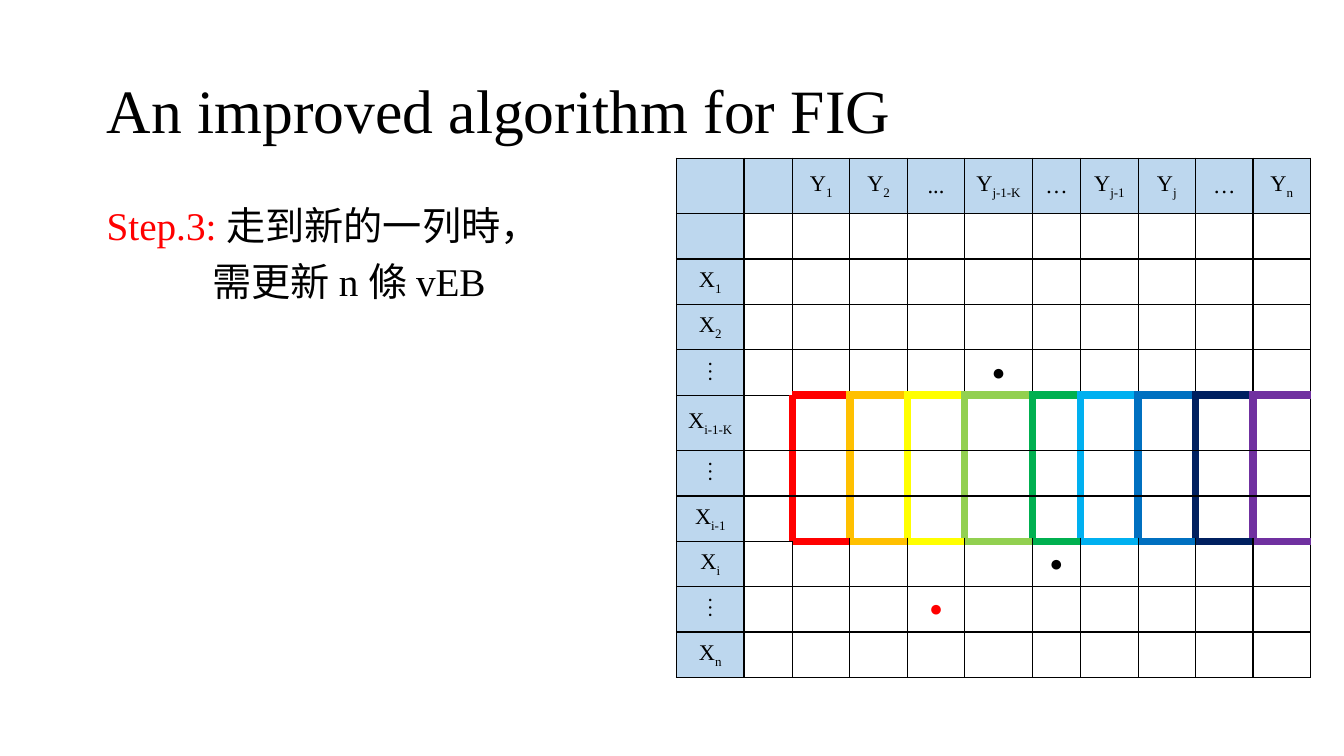
from lxml import etree
from pptx import Presentation
from pptx.dml.color import RGBColor
from pptx.enum import text
from pptx.oxml import ns
from pptx.util import Inches, Pt

TITLE = "An improved algorithm for FIG"
STEP = [
    [("Step.3: ", "red"), ("走到新的一列時，", "black")],
    [("需更新 n 條 vEB", "black")],
]
# Each label is a base and its subscript
COLUMN_LABELS = [("", ""), ("", ""), ("Y", "1"), ("Y", "2"), ("...", ""), ("Y", "j-1-K"),
                 ("…", ""), ("Y", "j-1"), ("Y", "j"), ("…", ""), ("Y", "n")]
ROW_LABELS = [("", ""), ("", ""), ("X", "1"), ("X", "2"), ("⋮", ""), ("X", "i-1-K"),
              ("⋮", ""), ("X", "i-1"), ("X", "i"), ("⋮", ""), ("X", "n")]
POINTS = {(4, 5): "black", (8, 6): "black", (9, 4): "red"}  # (row, column)
BANDS = ["FF0000", "FFC000", "FFFF00", "92D050", "00B050",
         "00B0F0", "0070C0", "002060", "7030A0"]
FIRST_BAND_COLUMN = 2
BAND_TOP, BAND_BOTTOM = 5, 8

COLORS = {"black": "000000", "red": "FF0000", "white": "FFFFFF", "header": "BDD7EE"}
FONT = "Times New Roman"
COLUMN_WIDTHS = [0.67, 0.48, 0.57, 0.57, 0.57, 0.67, 0.48, 0.57, 0.57, 0.57, 0.57]
ROW_HEIGHTS = [0.55 if row in (0, BAND_TOP) else 0.45 for row in range(len(ROW_LABELS))]


def rgb(name):
    return RGBColor.from_string(COLORS[name])


def style(paragraph, size, color="black"):
    paragraph.font.name = FONT
    paragraph.font.size = Pt(size)
    paragraph.font.color.rgb = rgb(color)


def add_box(slide, left, top, width, height):
    frame = slide.shapes.add_textbox(*map(Inches, (left, top, width, height))).text_frame
    frame.word_wrap = True
    return frame


def vertical_edge(row, edge):
    """Colour and width of the line left of column number edge."""
    band = edge - FIRST_BAND_COLUMN
    if BAND_TOP <= row < BAND_BOTTOM and 0 <= band < len(BANDS):
        return BANDS[band], 6
    return COLORS["black"], 1


def horizontal_edge(edge, column):
    """Colour and width of the line above row number edge."""
    if edge in (BAND_TOP, BAND_BOTTOM) and column >= FIRST_BAND_COLUMN:
        return BANDS[column - FIRST_BAND_COLUMN], 6
    return COLORS["black"], 1


def draw_borders(cell, row, column):
    sides = {
        "a:lnL": vertical_edge(row, column),
        "a:lnR": vertical_edge(row, column + 1),
        "a:lnT": horizontal_edge(row, column),
        "a:lnB": horizontal_edge(row + 1, column),
    }
    properties = cell._tc.get_or_add_tcPr()
    for side, (color, width) in sides.items():
        line = etree.SubElement(properties, ns.qn(side), w=str(Pt(width)))
        fill = etree.SubElement(line, ns.qn("a:solidFill"))
        etree.SubElement(fill, ns.qn("a:srgbClr"), val=color)


def write_cell(cell, base, subscript="", color="black"):
    cell.vertical_anchor = text.MSO_ANCHOR.MIDDLE
    paragraph = cell.text_frame.paragraphs[0]
    paragraph.alignment = text.PP_ALIGN.CENTER
    style(paragraph, 16, color)
    paragraph.add_run().text = base
    if subscript:
        lowered = paragraph.add_run()
        lowered.text = subscript
        lowered.font._element.set("baseline", "-25000")


def add_grid(slide):
    grid = slide.shapes.add_table(
        len(ROW_HEIGHTS), len(COLUMN_WIDTHS), Inches(6.71), Inches(1.57),
        Inches(sum(COLUMN_WIDTHS)), Inches(sum(ROW_HEIGHTS))).table
    for column, width in enumerate(COLUMN_WIDTHS):
        grid.columns[column].width = Inches(width)
    for row, height in enumerate(ROW_HEIGHTS):
        grid.rows[row].height = Inches(height)
        for column in range(len(COLUMN_WIDTHS)):
            cell = grid.cell(row, column)
            draw_borders(cell, row, column)
            is_header = row == 0 or column == 0
            cell.fill.solid()
            cell.fill.fore_color.rgb = rgb("header" if is_header else "white")
            label = COLUMN_LABELS[column] if row == 0 else ROW_LABELS[row]
            if is_header and label[0]:
                write_cell(cell, *label)
            elif (row, column) in POINTS:
                write_cell(cell, "●", color=POINTS[row, column])


def main():
    deck = Presentation()
    deck.slide_width, deck.slide_height = Inches(13.33), Inches(7.5)
    slide = deck.slides.add_slide(deck.slide_layouts[6])

    step = add_box(slide, 0.96, 2, 11.5, 4.76)
    for number, pieces in enumerate(STEP):
        line = step.paragraphs[0] if number == 0 else step.add_paragraph()
        line.line_spacing = 0.9
        if number:
            line.space_before = Pt(10)
            line._p.get_or_add_pPr().set("marL", str(Inches(1.05)))
        style(line, 28)
        for words, color in pieces:
            run = line.add_run()
            run.text = words
            if color != "black":
                run.font.color.rgb = rgb(color)

    title = add_box(slide, 0.96, 0.4, 11.5, 1.45)
    title.vertical_anchor = text.MSO_ANCHOR.MIDDLE
    heading = title.paragraphs[0]
    heading.line_spacing = 0.9
    style(heading, 44)
    heading.add_run().text = TITLE

    add_grid(slide)
    deck.save("out.pptx")


if __name__ == "__main__":
    main()
